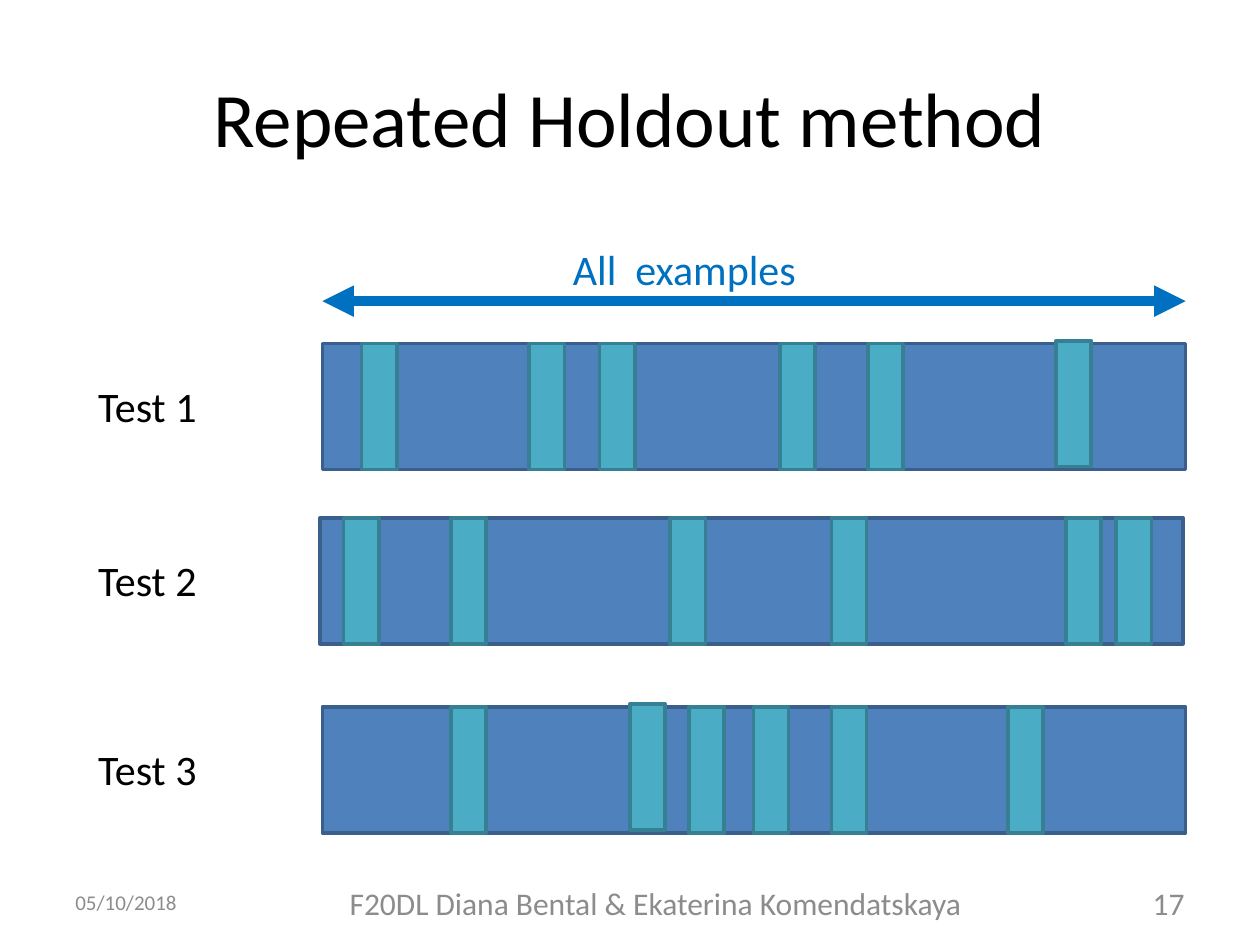
from lxml.etree import SubElement
from pptx import Presentation
from pptx.dml.color import RGBColor
from pptx.enum.shapes import MSO_CONNECTOR, MSO_SHAPE
from pptx.enum.text import MSO_ANCHOR, PP_ALIGN
from pptx.oxml.ns import qn
from pptx.util import Cm, Pt


def color(hex_string):
    return RGBColor.from_string(hex_string)


def write(shape, text, size=24, fill="000000", align=PP_ALIGN.LEFT, anchor=MSO_ANCHOR.TOP):
    frame = shape.text_frame
    frame.word_wrap = True
    frame.vertical_anchor = anchor
    paragraph = frame.paragraphs[0]
    paragraph.alignment = align
    run = paragraph.add_run()
    run.text = text
    run.font.name = "Calibri"
    run.font.size = Pt(size)
    run.font.color.rgb = color(fill)


def add_block(left, top, width, fill, outline):
    block = slide.shapes.add_shape(
        MSO_SHAPE.RECTANGLE, Cm(left), Cm(top), Cm(width), Cm(2.54))
    block.shadow.inherit = False
    block.fill.solid()
    block.fill.fore_color.rgb = color(fill)
    block.line.color.rgb = color(outline)
    block.line.width = Pt(2)


presentation = Presentation()
presentation.slide_width = Cm(25.4)
presentation.slide_height = Cm(19.05)
slide = presentation.slides.add_slide(presentation.slide_layouts[5])

title = slide.shapes.title
title.left, title.top, title.width, title.height = Cm(1.27), Cm(0.76), Cm(22.86), Cm(3.18)
write(title, "Repeated Holdout method", size=44, align=PP_ALIGN.CENTER, anchor=MSO_ANCHOR.MIDDLE)

footers = [
    ("05/10/2018", 1.27, 17.65, 3.02, 1.07, 12, PP_ALIGN.LEFT),
    ("F20DL Diana Bental & Ekaterina Komendatskaya", 4.72, 17.73, 16.99, 0.94, 18, PP_ALIGN.CENTER),
    ("17", 22.3, 17.73, 1.83, 0.94, 18, PP_ALIGN.RIGHT),
]
for text, left, top, width, height, size, align in footers:
    footer = slide.shapes.add_textbox(Cm(left), Cm(top), Cm(width), Cm(height))
    write(footer, text, size=size, fill="8C8C8C", align=align, anchor=MSO_ANCHOR.MIDDLE)

arrow = slide.shapes.add_connector(
    MSO_CONNECTOR.STRAIGHT, Cm(6.5), Cm(6.07), Cm(23.9), Cm(6.07))
arrow.line.color.rgb = color("0070C0")
arrow.line.width = Pt(6)
for arrow_end in ("a:headEnd", "a:tailEnd"):
    SubElement(arrow.line._get_or_add_ln(), qn(arrow_end), type="triangle")
SubElement(arrow._element.spPr, qn("a:effectLst"))

arrow_label = slide.shapes.add_textbox(Cm(11.3), Cm(4.78), Cm(7.8), Cm(1.27))
write(arrow_label, "All  examples", fill="0070C0")

tests = [
    ("Test 1", 6.5, 6.93, [7.29, 10.67, 12.09, 15.72, 17.5, 21.29], 21.29),
    ("Test 2", 6.45, 10.44, [6.93, 9.09, 13.51, 16.76, 21.49, 22.5], None),
    ("Test 3", 6.5, 14.25, [9.09, 12.7, 13.89, 15.19, 16.76, 20.32], 12.7),
]
for name, bar_left, top, holdouts, raised_holdout in tests:
    add_block(bar_left, top, 17.4, "4F81BD", "3A5F8C")
    for left in holdouts:
        lift = 0.06 if left == raised_holdout else 0
        add_block(left, top - lift, 0.71, "4BACC6", "377F92")
    test_label = slide.shapes.add_textbox(Cm(1.73), Cm(top + 0.61), Cm(3.99), Cm(1.27))
    write(test_label, name)

presentation.save("out.pptx")
